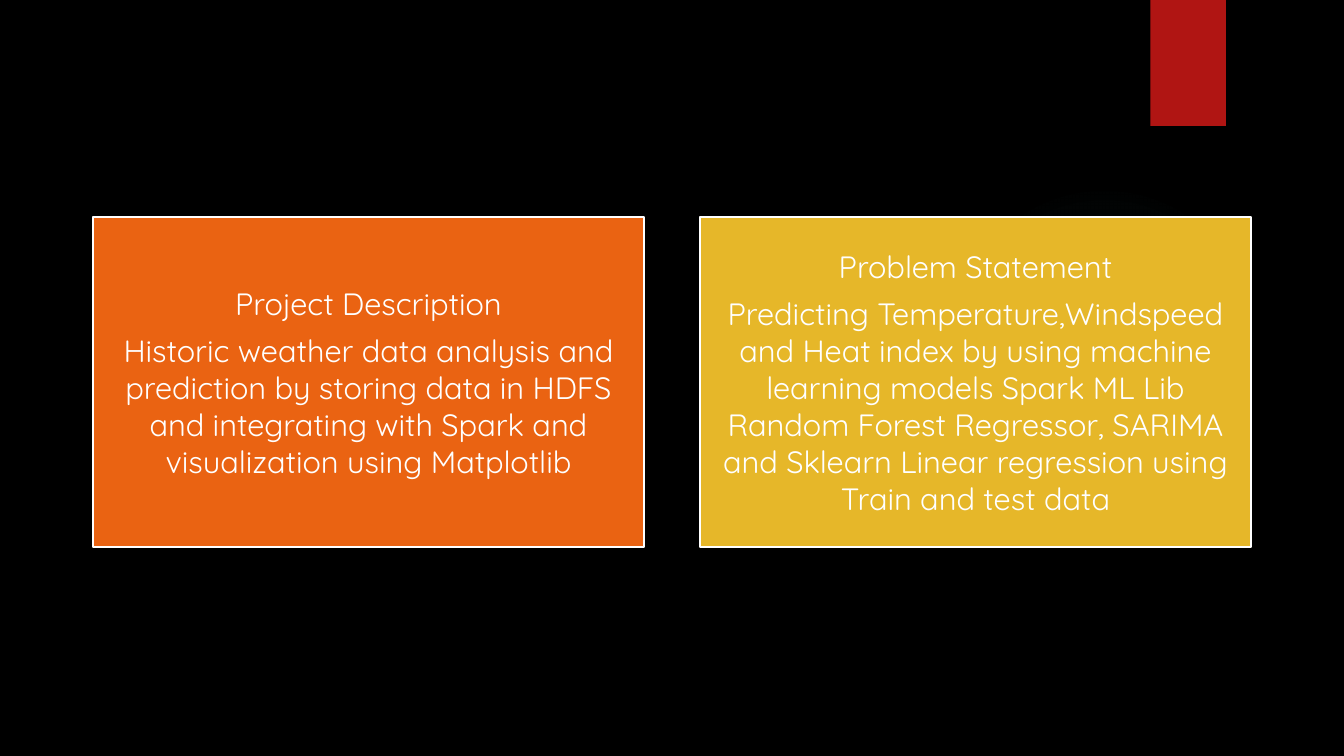
from lxml import etree
from pptx import Presentation
from pptx.dml.color import RGBColor
from pptx.enum.shapes import MSO_SHAPE as Kind
from pptx.enum.text import MSO_ANCHOR as Anchor, PP_ALIGN as Align
from pptx.oxml import parse_xml
from pptx.util import Inches, Pt

NS = "http://schemas.openxmlformats.org/drawingml/2006/main"


def paint(color, tone):
    color.rgb = RGBColor.from_string(tone)


def add(kind, left, top, width, height, tone):
    shape = slide.shapes.add_shape(
        kind, Inches(left), Inches(top), Inches(width), Inches(height))
    shape.shadow.inherit = False
    shape.fill.solid()
    paint(shape.fill.fore_color, tone)
    shape.line.fill.background()
    return shape


deck = Presentation()
deck.slide_width, deck.slide_height = Inches(13.33), Inches(7.5)
slide = deck.slides.add_slide(deck.slide_layouts[6])
slide.background.fill.solid()
paint(slide.background.fill.fore_color, "000000")

# Faint round glow, fading outwards
glow = add(Kind.OVAL, 9.41, 1.83, 3.08, 3.08, "50B9C1")
stops = "".join(
    f'<a:gs pos="{pos}000"><a:srgbClr val="50B9C1"><a:alpha val="{alpha}000"/></a:srgbClr></a:gs>'
    for pos, alpha in [(0, 7), (36, 6), (69, 0)])
fade = parse_xml(
    f'<a:gradFill xmlns:a="{NS}"><a:gsLst>{stops}</a:gsLst><a:path path="circle">'
    '<a:fillToRect l="50000" t="50000" r="50000" b="50000"/></a:path></a:gradFill>')
solid = glow.element.spPr.find(etree.QName(NS, "solidFill").text)
solid.getparent().replace(solid, fade)

# Red tab at the top edge
add(Kind.RECTANGLE, 11.41, 0, 0.75, 1.25, "B01513")

# Two cards side by side
cards = [
    ("EA6312", "Project Description",
     "Historic weather data analysis and prediction by storing data in HDFS "
     "and integrating with Spark and visualization using Matplotlib"),
    ("E6B729", "Problem Statement",
     "Predicting Temperature,Windspeed and Heat index by using machine learning "
     "models Spark ML Lib Random Forest Regressor, SARIMA and Sklearn Linear "
     "regression using Train and test data"),
]
for col, (tone, head, body) in enumerate(cards):
    card = add(Kind.RECTANGLE, 0.92 + col * 6.02, 2.15, 5.47, 3.28, tone)
    paint(card.line.color, "FFFFFF")
    card.line.width = Pt(1.5)
    frame = card.text_frame
    frame.word_wrap = True
    frame.vertical_anchor = Anchor.MIDDLE
    frame.margin_left = frame.margin_right = Inches(0.09)
    frame.margin_top = frame.margin_bottom = Inches(0.09)
    frame.text = f"{head}\n{body}"
    for para in frame.paragraphs:
        para.alignment = Align.CENTER
        para.space_after = Pt(7)
        para.font.name = "Quicksand"
        para.font.size = Pt(22)
        paint(para.font.color, "FFFFFF")

deck.save("out.pptx")
